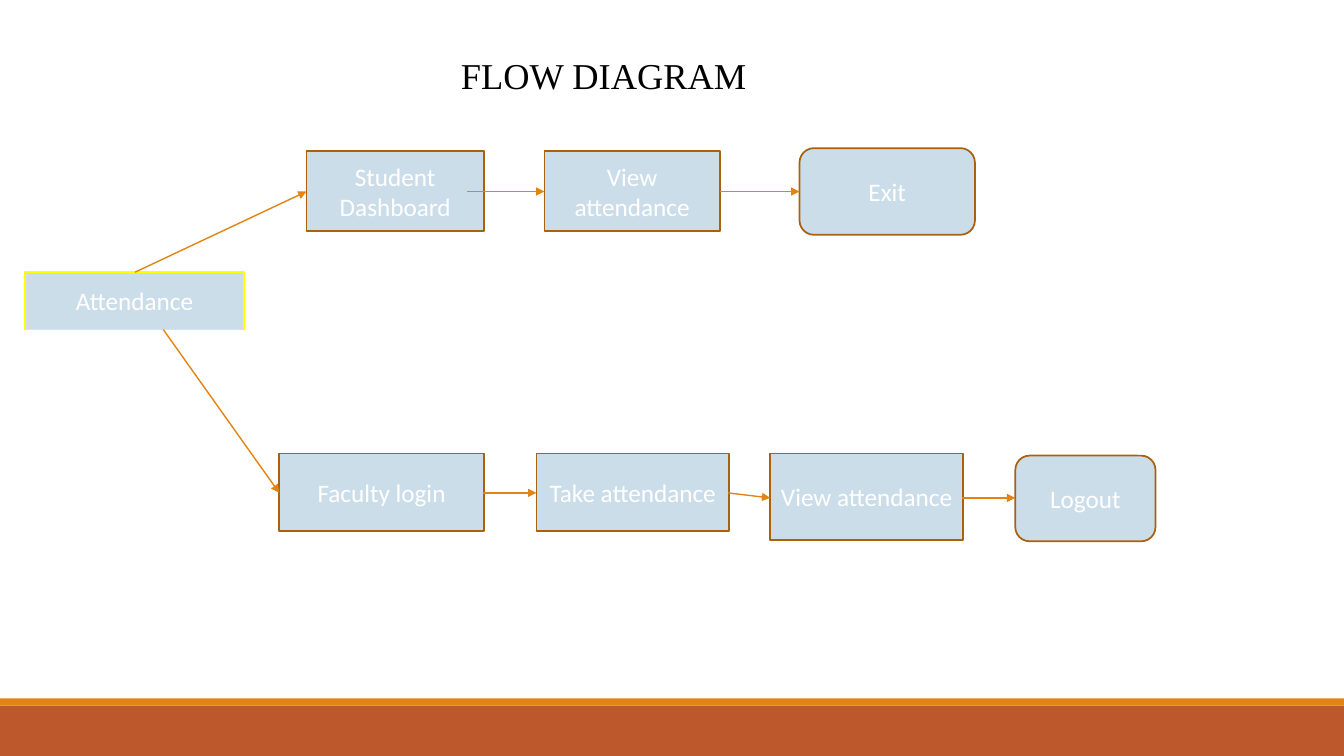
"""Build the attendance flow diagram slide."""
from lxml import etree
from pptx import Presentation
from pptx.dml.color import RGBColor
from pptx.enum.shapes import MSO_CONNECTOR as Connector, MSO_SHAPE as Shape
from pptx.enum.text import MSO_ANCHOR as Anchor, MSO_AUTO_SIZE as AutoSize, PP_ALIGN as Align
from pptx.oxml.ns import qn
from pptx.util import Inches, Pt

WHITE = RGBColor(0xFF, 0xFF, 0xFF)
BLACK = RGBColor(0x00, 0x00, 0x00)
PALE_BLUE = RGBColor(0xCC, 0xDD, 0xEA)
BROWN = RGBColor(0xA9, 0x61, 0x0D)
YELLOW = RGBColor(0xFF, 0xFF, 0x00)
ORANGE = RGBColor(0xE4, 0x83, 0x12)
RUST = RGBColor(0xBD, 0x58, 0x2C)

WIDTH, HEIGHT = 13.33, 7.5
STUDENT_TOP, FACULTY_TOP = 1.5, 4.5
STUDENT_AXIS, FACULTY_AXIS, FACULTY_END_AXIS = 1.9, 4.89, 4.94

presentation = Presentation()
presentation.slide_width, presentation.slide_height = Inches(WIDTH), Inches(HEIGHT)
slide = presentation.slides.add_slide(presentation.slide_layouts[5])


def add_block(kind, left, top, width, height, fill):
    shape = slide.shapes.add_shape(kind, *map(Inches, (left, top, width, height)))
    shape.shadow.inherit = False
    shape.fill.solid()
    shape.fill.fore_color.rgb = fill
    shape.line.fill.background()
    return shape


def add_text(shape, text, font_name, size, color, alignment):
    paragraph = shape.text_frame.paragraphs[0]
    paragraph.alignment = alignment
    run = paragraph.add_run()
    run.text = text
    run.font.name, run.font.size = font_name, Pt(size)
    run.font.color.rgb = color


add_block(Shape.RECTANGLE, 0, 7, WIDTH, 0.5, RUST)
add_block(Shape.RECTANGLE, 0, 6.93, WIDTH, 0.07, ORANGE)

steps = [
    ("Attendance", Shape.RECTANGLE, 0.25, 2.7, 2.17, 0.57, YELLOW),
    ("Student Dashboard", Shape.RECTANGLE, 3.04, STUDENT_TOP, 1.76, 0.79, BROWN),
    ("View attendance", Shape.RECTANGLE, 5.4, STUDENT_TOP, 1.74, 0.79, BROWN),
    ("Exit", Shape.ROUNDED_RECTANGLE, 7.93, 1.47, 1.74, 0.86, BROWN),
    ("Faculty login", Shape.RECTANGLE, 2.77, FACULTY_TOP, 2.03, 0.77, BROWN),
    ("Take attendance", Shape.RECTANGLE, 5.32, FACULTY_TOP, 1.91, 0.77, BROWN),
    ("View attendance", Shape.RECTANGLE, 7.64, FACULTY_TOP, 1.91, 0.86, BROWN),
    ("Logout", Shape.ROUNDED_RECTANGLE, 10.07, 4.52, 1.39, 0.85, BROWN),
]
for label, kind, left, top, width, height, outline in steps:
    step = add_block(kind, left, top, width, height, PALE_BLUE)
    step.line.color.rgb = outline
    step.line.width = Pt(1.25)
    step.text_frame.word_wrap = True
    step.text_frame.vertical_anchor = Anchor.MIDDLE
    add_text(step, label, "Calibri", 18, WHITE, Align.CENTER)

arrows = [
    (1.34, 2.7, 3.04, STUDENT_AXIS),
    (4.63, STUDENT_AXIS, 5.4, STUDENT_AXIS),
    (7.14, STUDENT_AXIS, 7.93, STUDENT_AXIS),
    (1.62, 3.27, 2.77, FACULTY_AXIS),
    (4.79, FACULTY_AXIS, 5.32, FACULTY_AXIS),
    (7.22, FACULTY_AXIS, 7.64, FACULTY_END_AXIS),
    (9.54, FACULTY_END_AXIS, 10.07, FACULTY_END_AXIS),
]
for ends in arrows:
    arrow = slide.shapes.add_connector(Connector.STRAIGHT, *map(Inches, ends))
    arrow.line.color.rgb = ORANGE
    arrow.line.width = Pt(1)
    etree.SubElement(arrow.line._get_or_add_ln(), qn("a:tailEnd"), type="triangle")
    etree.SubElement(arrow._element.spPr, qn("a:effectLst"))

title = slide.shapes.title
title.left, title.top, title.width, title.height = map(Inches, (4.47, 0.48, 5.07, 0.54))
title.text_frame.word_wrap = True
title.text_frame.auto_size = AutoSize.NONE
title.text_frame.vertical_anchor = Anchor.TOP
add_text(title, "FLOW DIAGRAM", "Times New Roman", 26, BLACK, Align.LEFT)

presentation.save("out.pptx")
